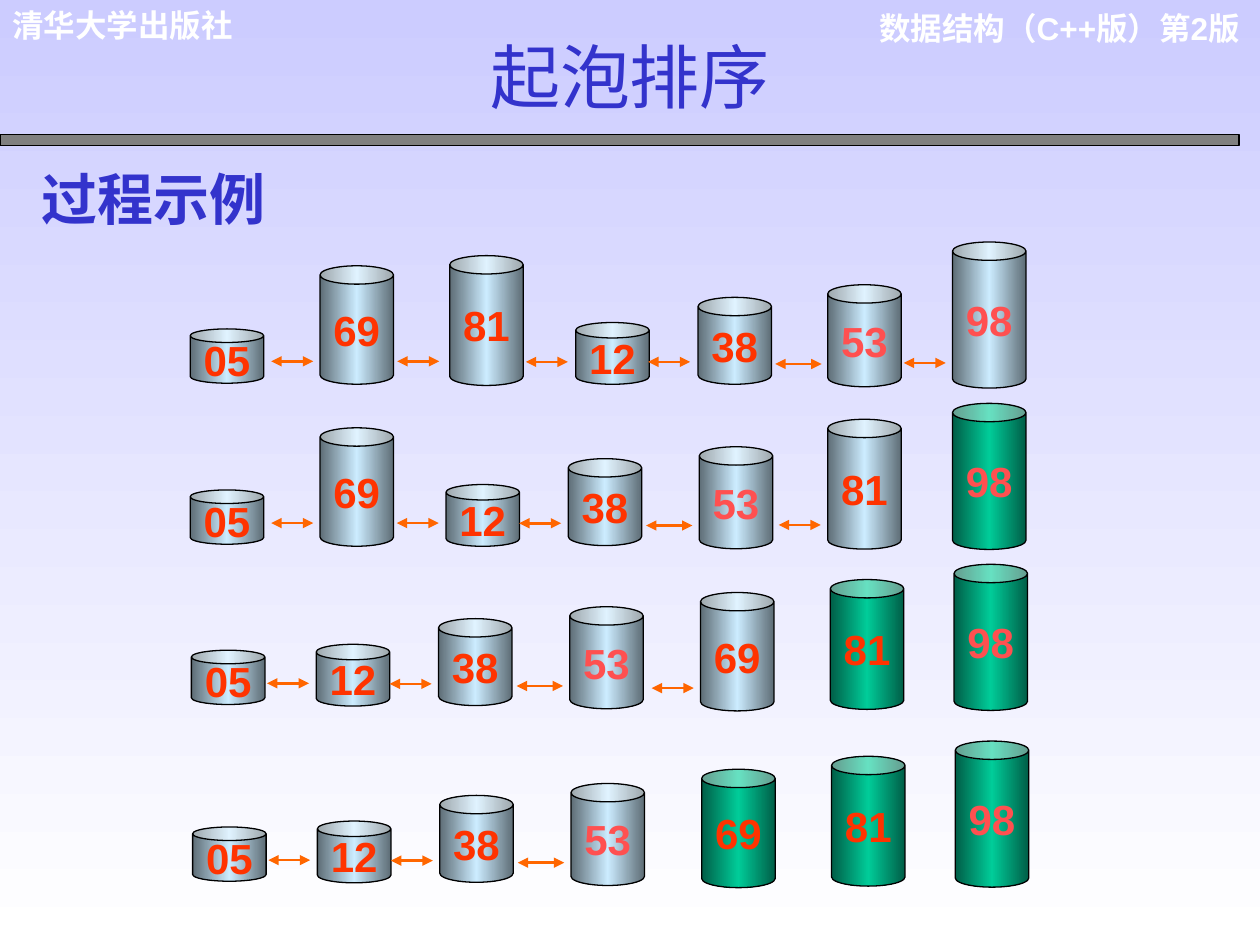
from copy import deepcopy

from lxml import etree
from pptx import Presentation
from pptx.dml.color import RGBColor
from pptx.enum.shapes import MSO_CONNECTOR, MSO_SHAPE
from pptx.enum.text import MSO_ANCHOR, PP_ALIGN
from pptx.oxml.ns import qn
from pptx.util import Pt

CAN, BAR, STRAIGHT = MSO_SHAPE.CAN, MSO_SHAPE.RECTANGLE, MSO_CONNECTOR.STRAIGHT
LEFT, CENTER, RIGHT = PP_ALIGN.LEFT, PP_ALIGN.CENTER, PP_ALIGN.RIGHT
TOP, MIDDLE, BOTTOM = MSO_ANCHOR.TOP, MSO_ANCHOR.MIDDLE, MSO_ANCHOR.BOTTOM

COLORS = {
    "sky": "CCCCFF", "white": "FFFFFF", "black": "000000", "gray": "808080",
    "title": "3333CC", "number": "FF3300", "number_light": "FF5050",
    "arrow": "FF6600",
    "open_edge": "5E6D76", "open_core": "CCECFF",
    "sorted_edge": "005E47", "sorted_core": "00CC99",
}
CAN_WIDTH = 42
CAN_HEIGHTS = {"05": 31, "12": 35.3, "38": 49.7, "53": 58.3,
               "69": 67.7, "81": 74.2, "98": 83.5}
LIGHT_NUMBERS = {"53", "98"}

# Cans are (number, left, bottom); arrows are (left, y, length).
FIRST_CANS = [("05", 108.7, 219), ("69", 182.9, 219.6), ("81", 257, 220.3),
              ("12", 329, 219.6), ("38", 398.9, 219.6), ("53", 473, 221),
              ("98", 544.3, 221.8)]
FIRST_ARROWS = [(155, 206.5, 24), (227, 206.5, 24), (300.5, 206.8, 24),
                (443, 208, 26.5), (516.4, 207.4, 24), (370.4, 206.8, 24)]
SECOND_CANS = [("05", 108.7, 311), ("69", 182.9, 312.2), ("12", 254.9, 312.2),
               ("38", 324.7, 311.8), ("53", 399.6, 313.6),
               ("81", 473, 313.8), ("98", 544.3, 314)]
SECOND_ARROWS = [(155, 298.9, 24), (226.7, 298.9, 24), (296.7, 299, 24),
                 (369.2, 300.3, 26.5), (445, 300, 24)]
THIRD_CANS = [("05", 109.4, 402.6), ("12", 180.7, 403.5), ("38", 250.6, 403.2),
              ("53", 325.6, 405), ("69", 400.3, 406.3), ("81", 474.5, 405.4),
              ("98", 545.2, 406)]
THIRD_ARROWS = [(152.6, 390.5, 24), (222.7, 390.8, 24), (295.2, 392, 26.5),
                (372.4, 393.2, 24)]
# The last pass keeps the order of the third one, so it is that row moved down.
LAST_SHIFT = (0.7, 101)

# Cans, arrows, count of cans already in place, shift
PASSES = [
    (FIRST_CANS, FIRST_ARROWS, 0, (0, 0)),
    (SECOND_CANS, SECOND_ARROWS, 1, (0, 0)),
    (THIRD_CANS, THIRD_ARROWS, 2, (0, 0)),
    (THIRD_CANS, THIRD_ARROWS[:3], 3, LAST_SHIFT),
]


def rgb(name):
    return RGBColor.from_string(COLORS[name])


def set_all(target, values):
    for attribute, value in values.items():
        setattr(target, attribute, value)


class SlideBuilder:
    latin_font = "Arial"
    cjk_font = "Noto Sans CJK SC"

    def __init__(self, slide):
        self.slide = slide

    def gradient(self, fill, names, angle):
        fill.gradient()
        fill.gradient_angle = angle
        for index, name in enumerate(names):
            stop = fill.gradient_stops[index]
            stop.color.rgb = rgb(name)
            stop.position = index / (len(names) - 1)

    def background(self, top, bottom):
        self.gradient(self.slide.background.fill, [top, bottom], 270)

    def run(self, paragraph, words, size, color, bold, font, shadow=False):
        run = paragraph.add_run()
        run.text = words
        set_all(run.font, {"size": Pt(size), "bold": bold, "name": font})
        run.font.color.rgb = rgb(color)
        properties = run.font._element
        etree.SubElement(properties, qn("a:ea"), typeface=self.cjk_font)
        if shadow:
            effects = etree.Element(qn("a:effectLst"))
            outer = etree.SubElement(effects, qn("a:outerShdw"),
                                     dist=str(Pt(2)), dir="2700000")
            etree.SubElement(outer, qn("a:srgbClr"), val=COLORS["gray"])
            properties.find(qn("a:solidFill")).addnext(effects)

    def text(self, box, pieces, size, color, bold=True, align=LEFT,
             anchor=TOP, margin=3.6, shadow=False):
        """Pieces are (words, font) pairs set in one paragraph."""
        shape = self.slide.shapes.add_textbox(*map(Pt, box))
        frame = shape.text_frame
        set_all(frame, {"word_wrap": True, "vertical_anchor": anchor,
                        "margin_top": Pt(margin), "margin_bottom": Pt(margin)})
        paragraph = frame.paragraphs[0]
        paragraph.alignment = align
        for words, font in pieces:
            self.run(paragraph, words, size, color, bold, font, shadow)

    def outlined(self, kind, box):
        shape = self.slide.shapes.add_shape(kind, *map(Pt, box))
        shape.shadow.inherit = False
        shape.line.color.rgb = rgb("black")
        shape.line.width = Pt(0.75)
        return shape

    def bar(self, box):
        shape = self.outlined(BAR, box)
        shape.fill.solid()
        shape.fill.fore_color.rgb = rgb("gray")

    def can(self, number, left, bottom, state):
        height = CAN_HEIGHTS[number]
        shape = self.outlined(CAN, (left, bottom - height, CAN_WIDTH, height))
        shape.adjustments[0] = 0.25
        shape.fill.gradient()
        stops = shape._element.spPr.find(".//" + qn("a:gsLst"))
        stops.insert(1, deepcopy(stops[0]))
        edge, core = state + "_edge", state + "_core"
        self.gradient(shape.fill, [edge, core, edge], 0)
        frame = shape.text_frame
        set_all(frame, {"word_wrap": False, "vertical_anchor": MIDDLE})
        frame.paragraphs[0].alignment = CENTER
        color = "number_light" if number in LIGHT_NUMBERS else "number"
        self.run(frame.paragraphs[0], number, 24, color, True, self.latin_font)

    def double_arrow(self, left, y, length):
        arrow = self.slide.shapes.add_connector(
            STRAIGHT, Pt(left), Pt(y), Pt(left + length), Pt(y))
        arrow.line.color.rgb = rgb("arrow")
        arrow.line.width = Pt(1.5)
        for end in ("a:headEnd", "a:tailEnd"):
            etree.SubElement(arrow.line._get_or_add_ln(), qn(end), type="triangle")
        etree.SubElement(arrow._element.spPr, qn("a:effectLst"))

    def sorting_pass(self, cans, arrows, sorted_count, shift):
        dx, dy = shift
        first_sorted = len(cans) - sorted_count
        for index, (number, left, bottom) in enumerate(cans):
            state = "sorted" if index >= first_sorted else "open"
            self.can(number, left + dx, bottom + dy, state)
        for left, y, length in arrows:
            self.double_arrow(left + dx, y + dy, length)


def main():
    deck = Presentation()
    set_all(deck, {"slide_width": Pt(720), "slide_height": Pt(540)})
    page = SlideBuilder(deck.slides.add_slide(deck.slide_layouts[6]))
    latin, cjk = page.latin_font, page.cjk_font

    page.background("sky", "white")
    page.text((487.5, 1.5, 228, 50), [("数据结构（C++版）第2版", latin)],
              18, "white", align=RIGHT)
    page.text((0, 0, 195, 29), [("清华大学出版社", latin)], 18, "white")
    page.bar((0, 77, 708, 6))
    page.text((16.5, 89.3, 396, 43.2), [("过程示例", cjk)], 32, "title",
              anchor=BOTTOM, margin=0, shadow=True)
    page.text((0, 18, 720, 52.5), [("起泡", "Lato"), ("排序", cjk)], 40, "title",
              bold=False, align=CENTER, anchor=BOTTOM, shadow=True)
    for sorting_pass in PASSES:
        page.sorting_pass(*sorting_pass)

    deck.save("out.pptx")


if __name__ == "__main__":
    main()
